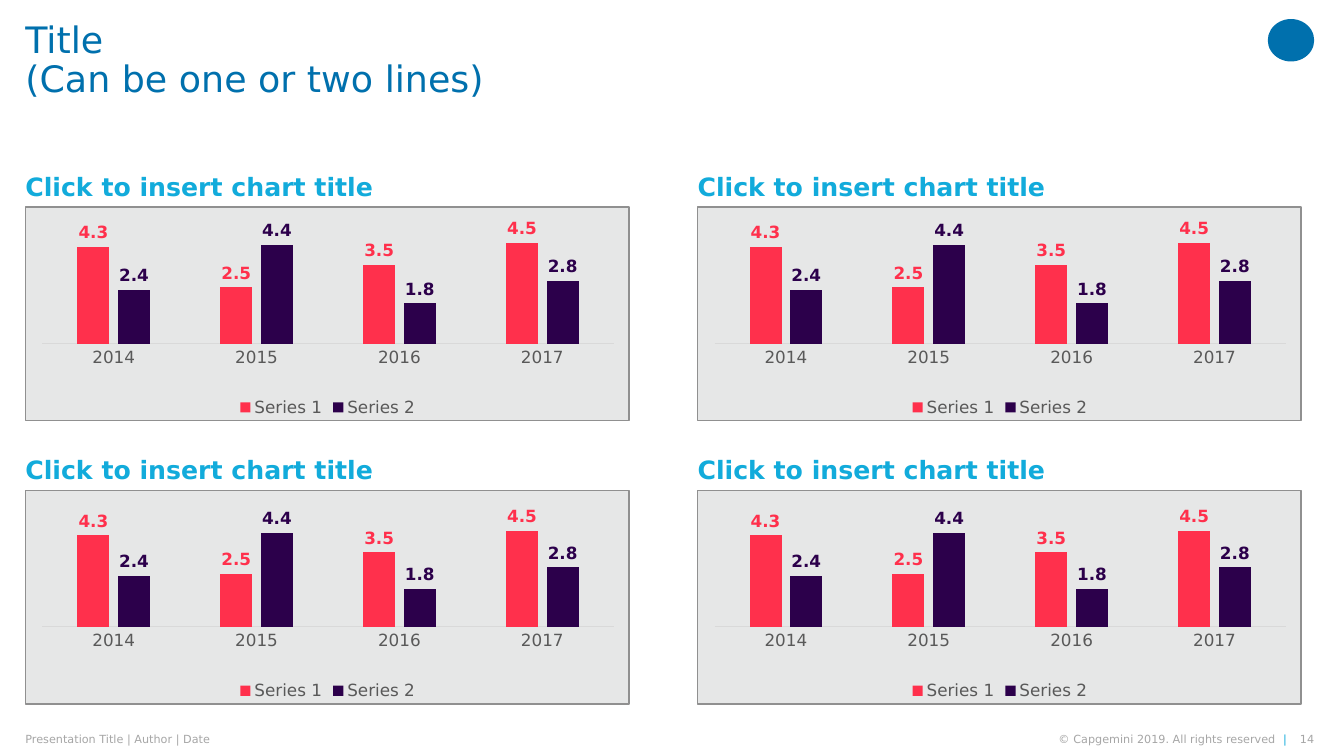
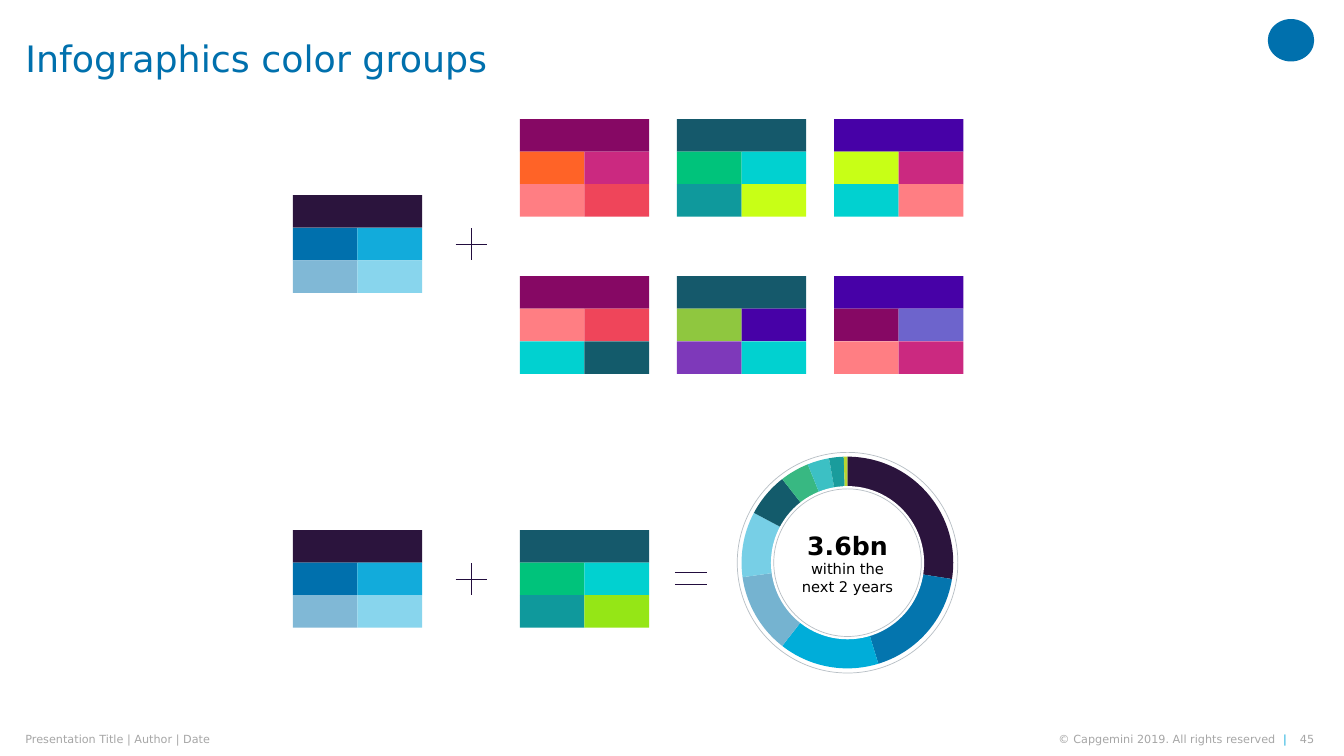
from itertools import product

from pptx import Presentation
from pptx.chart.data import CategoryChartData
from pptx.dml.color import RGBColor
from pptx.enum.chart import (XL_CHART_TYPE, XL_LABEL_POSITION,
                             XL_LEGEND_POSITION, XL_TICK_MARK)
from pptx.enum.shapes import MSO_CONNECTOR, MSO_SHAPE
from pptx.enum.text import MSO_ANCHOR, PP_ALIGN
from pptx.oxml import parse_xml
from pptx.oxml.ns import nsdecls
from pptx.oxml.xmlchemy import OxmlElement
from pptx.util import Cm, Pt

FONT = "DejaVu Sans"
BLUE = RGBColor(0x00, 0x70, 0xAD)
SKY = RGBColor(0x12, 0xAB, 0xDB)
SOFT_BLUE = RGBColor(0x80, 0xB8, 0xD6)
PALE_BLUE = RGBColor(0x88, 0xD5, 0xED)
INK = RGBColor(0x2B, 0x14, 0x3D)
SIGN_INK = RGBColor(0x22, 0x0D, 0x3E)
BLACK = RGBColor(0x00, 0x00, 0x00)
WHITE = RGBColor(0xFF, 0xFF, 0xFF)
FOOTER_GRAY = RGBColor(0xA6, 0xA6, 0xA6)
PANEL_FILL = RGBColor(0xE6, 0xE7, 0xE7)
PANEL_LINE = RGBColor(0x90, 0x90, 0x90)
AXIS_TEXT = RGBColor(0x59, 0x59, 0x59)
AXIS_LINE = RGBColor(0xD9, 0xD9, 0xD9)
RING_LINE = RGBColor(0xB8, 0xBF, 0xC5)
RED = RGBColor(0xFF, 0x30, 0x4C)
PURPLE = RGBColor(0x2C, 0x00, 0x4B)
PLUM = RGBColor(0x86, 0x08, 0x64)
ORANGE = RGBColor(0xFF, 0x63, 0x27)
MAGENTA = RGBColor(0xCB, 0x29, 0x80)
SALMON = RGBColor(0xFF, 0x7E, 0x83)
CORAL = RGBColor(0xEF, 0x45, 0x5A)
PETROL = RGBColor(0x15, 0x59, 0x6B)
DEEP_TEAL = RGBColor(0x13, 0x5B, 0x6B)
GREEN = RGBColor(0x00, 0xC3, 0x7B)
TURQUOISE = RGBColor(0x01, 0xD1, 0xD0)
TEAL = RGBColor(0x0F, 0x99, 0x9C)
LIME = RGBColor(0xC8, 0xFF, 0x16)
FRESH_GREEN = RGBColor(0x95, 0xE6, 0x16)
LEAF = RGBColor(0x8F, 0xC7, 0x3F)
VIOLET = RGBColor(0x47, 0x01, 0xA7)
ORCHID = RGBColor(0x7E, 0x39, 0xBA)
LAVENDER = RGBColor(0x6D, 0x64, 0xCC)

FOOTER = "Presentation Title | Author | Date"
COPYRIGHT = "© Capgemini 2019. All rights reserved  "

CHARTS_TITLE = "Title\v(Can be one or two lines)"
CHART_HEADING = "Click to insert chart title"
YEARS = ["2014", "2015", "2016", "2017"]
SERIES = [("Series 1", [4.3, 2.5, 3.5, 4.5], RED),
          ("Series 2", [2.4, 4.4, 1.8, 2.8], PURPLE)]
PLOT_ROWS = [(0.123, 0.518), (0.149, 0.492)]  # top and height within the chart

COLORS_TITLE = "Infographics color groups"
# Each palette: wide header, then two rows of two
BASE_PALETTE = (INK, BLUE, SKY, SOFT_BLUE, PALE_BLUE)
EXTRA_PALETTES = [
    [(PLUM, ORANGE, MAGENTA, SALMON, CORAL),
     (PETROL, GREEN, TURQUOISE, TEAL, LIME),
     (VIOLET, LIME, MAGENTA, TURQUOISE, SALMON)],
    [(PLUM, SALMON, CORAL, TURQUOISE, DEEP_TEAL),
     (PETROL, LEAF, VIOLET, ORCHID, TURQUOISE),
     (VIOLET, PLUM, LAVENDER, SALMON, MAGENTA)],
]
EXAMPLE_PALETTE = (PETROL, GREEN, TURQUOISE, TEAL, FRESH_GREEN)
RING = [  # degrees, color
    (99, INK), (64, RGBColor(0x04, 0x75, 0xAE)),
    (55, RGBColor(0x00, 0xAD, 0xD9)), (44, RGBColor(0x75, 0xB3, 0xD0)),
    (36, RGBColor(0x77, 0xCF, 0xE6)), (24, DEEP_TEAL),
    (16, RGBColor(0x38, 0xB8, 0x82)), (12, RGBColor(0x3C, 0xC0, 0xC4)),
    (8, RGBColor(0x1A, 0x9C, 0x9C)), (2, RGBColor(0xB9, 0xD5, 0x32)),
]
RING_TEXT = [("3.6bn", 18, True), ("within the\vnext 2 years", 10.5, False)]

MARGIN = 0.64


def set_font(font, size, color, bold=False):
    for name, value in dict(name=FONT, size=Pt(size), bold=bold).items():
        setattr(font, name, value)
    font.color.rgb = color


def clear_insets(frame, anchor):
    margins = ("margin_left", "margin_top", "margin_right", "margin_bottom")
    for name, value in {**dict.fromkeys(margins, 0), "word_wrap": True,
                        "vertical_anchor": anchor}.items():
        setattr(frame, name, value)


def add_text(page, at, spans, size, align=PP_ALIGN.LEFT,
             anchor=MSO_ANCHOR.MIDDLE, bold=False, spacing=1.0):
    """Add one paragraph made of (text, color) spans; \\v breaks a line."""
    box = page.shapes.add_textbox(*map(Cm, at))
    clear_insets(box.text_frame, anchor)
    para = box.text_frame.paragraphs[0]
    para.alignment, para.line_spacing = align, spacing
    for text, color in spans:
        for index, line in enumerate(text.split("\v")):
            if index:
                para.add_line_break()
            span = para.add_run()
            span.text = line
            set_font(span.font, size, color, bold)


def add_figure(shapes, kind, at, fill=None, line=None, width=0.5):
    figure = shapes.add_shape(kind, *map(Cm, at))
    figure.shadow.inherit = False
    if fill is None:
        figure.fill.background()
    else:
        figure.fill.solid()
        figure.fill.fore_color.rgb = fill
    if line is None:
        figure.line.fill.background()
    else:
        figure.line.color.rgb = line
        figure.line.width = Pt(width)
    return figure


def add_circle(page, center, diameter, **colors):
    left, top = (value - diameter / 2 for value in center)
    return add_figure(page.shapes, MSO_SHAPE.OVAL,
                      (left, top, diameter, diameter), **colors)


def add_page(deck, title, number):
    page = deck.slides.add_slide(deck.slide_layouts[6])
    add_figure(page.shapes, MSO_SHAPE.OVAL, (31.95, 0.48, 1.17, 1.07), BLUE)
    add_text(page, (MARGIN, 0, 30.91, 3.07), [(title, BLUE)], 26, spacing=0.9)
    add_text(page, (MARGIN, 18.47, 13.11, 0.33), [(FOOTER, FOOTER_GRAY)], 8)
    add_text(page, (25.04, 18.47, 7.39, 0.33),
             [(COPYRIGHT, FOOTER_GRAY), ("|", SKY)], 8, PP_ALIGN.RIGHT)
    add_text(page, (32.5, 18.47, 0.62, 0.33),
             [(str(number), FOOTER_GRAY)], 8, PP_ALIGN.RIGHT)
    return page


def add_bare_chart(page, kind, at, data, plot_area):
    """Add a chart without fill whose plot takes the given x, y, w, h shares."""
    chart = page.shapes.add_chart(kind, *map(Cm, at), data).chart
    chart.has_title = False
    set_font(chart.font, 10, BLACK)
    chart.element.chart.addnext(parse_xml(
        f'<c:spPr {nsdecls("c", "a")}><a:noFill/>'
        '<a:ln><a:noFill/></a:ln></c:spPr>'))
    plot_element = chart.element.chart.plotArea
    for layout in plot_element.xpath("c:layout"):
        plot_element.remove(layout)
    sizes = "".join(f'<c:{tag} val="{value}"/>'
                    for tag, value in zip("xywh", plot_area))
    plot_element.insert(0, parse_xml(
        f'<c:layout {nsdecls("c")}><c:manualLayout>'
        '<c:layoutTarget val="inner"/><c:xMode val="edge"/>'
        f'<c:yMode val="edge"/>{sizes}</c:manualLayout></c:layout>'))
    return chart


def add_column_chart(page, at, plot_top, plot_height):
    data = CategoryChartData()
    data.categories = YEARS
    for name, values, _ in SERIES:
        data.add_series(name, values)
    chart = add_bare_chart(page, XL_CHART_TYPE.COLUMN_CLUSTERED, at, data,
                           (0.028, plot_top, 0.945, plot_height))
    chart.has_legend = True
    chart.legend.position = XL_LEGEND_POSITION.BOTTOM
    chart.legend.include_in_layout = False
    set_font(chart.legend.font, 12, AXIS_TEXT)

    years = chart.category_axis
    years.major_tick_mark = XL_TICK_MARK.NONE
    years.format.line.color.rgb = AXIS_LINE
    years.format.line.width = Pt(0.75)
    set_font(years.tick_labels.font, 12, AXIS_TEXT)
    for name, value in dict(visible=False, has_major_gridlines=False,
                            minimum_scale=0, maximum_scale=5).items():
        setattr(chart.value_axis, name, value)

    plot = chart.plots[0]
    plot.gap_width, plot.overlap = 219, -27
    plot.vary_by_categories = False
    for series, (_, _, color) in zip(plot.series, SERIES):
        series.format.fill.solid()
        series.format.fill.fore_color.rgb = color
        labels = series.data_labels
        labels.show_value = True
        labels.position = XL_LABEL_POSITION.OUTSIDE_END
        set_font(labels.font, 12, color, bold=True)


def build_charts_page(deck):
    page = add_page(deck, CHARTS_TITLE, 14)
    for row, column in product(range(2), repeat=2):
        left, down = MARGIN + 16.94 * column, 7.14 * row
        add_figure(page.shapes, MSO_SHAPE.RECTANGLE,
                   (left, 5.22 + down, 15.21, 5.38),
                   PANEL_FILL, PANEL_LINE, 1)
        add_text(page, (left, 3.94 + down, 15.24, 1.14),
                 [(CHART_HEADING, SKY)], 18, anchor=MSO_ANCHOR.BOTTOM,
                 bold=True)
        add_column_chart(page, (left, 5.16 + down, 15.24, 5.46),
                         *PLOT_ROWS[row])


def add_palette(page, left, top, colors):
    width, height = 3.26, 0.82
    half = width / 2
    group = page.shapes.add_group_shape()
    places = [(0, 0, width)] + [(half * column, height * row, half)
                                for row, column in product((1, 2), (0, 1))]
    for color, (right, down, wide) in zip(colors, places):
        add_figure(group.shapes, MSO_SHAPE.RECTANGLE,
                   (left + right, top + down, wide, height), color)


def add_stroke(page, *ends):
    stroke = page.shapes.add_connector(MSO_CONNECTOR.STRAIGHT, *map(Cm, ends))
    stroke.line.color.rgb = SIGN_INK
    stroke.line.width = Pt(0.5)
    stroke.element.spPr.append(OxmlElement("a:effectLst"))


def add_plus(page, x, y, arm=0.4):
    add_stroke(page, x, y - arm, x, y + arm)
    add_stroke(page, x - arm, y, x + arm, y)


def add_equals(page, x, y, arm=0.4, gap=0.3):
    for level in (y - gap / 2, y + gap / 2):
        add_stroke(page, x - arm, level, x + arm, level)


def add_ring(page, center):
    size, diameter = 6.1, 5.34
    share = diameter / size
    inset = round((1 - share) / 2, 3)
    data = CategoryChartData()
    data.categories = [str(index + 1) for index in range(len(RING))]
    data.add_series("Share", [degrees for degrees, _ in RING])
    left, top = (value - size / 2 for value in center)
    chart = add_bare_chart(page, XL_CHART_TYPE.PIE, (left, top, size, size),
                           data, (inset, inset, round(share, 3),
                                  round(share, 3)))
    chart.has_legend = False
    chart.plots[0].vary_by_categories = False
    for index, (_, color) in enumerate(RING):
        slice_format = chart.plots[0].series[0].points[index].format
        slice_format.fill.solid()
        slice_format.fill.fore_color.rgb = color
        slice_format.line.fill.background()

    add_circle(page, center, 5.56, line=RING_LINE)
    hole = add_circle(page, center, 3.86, fill=WHITE)
    add_circle(page, center, 3.72, line=RING_LINE)
    frame = hole.text_frame
    clear_insets(frame, MSO_ANCHOR.MIDDLE)
    for index, (text, points, bold) in enumerate(RING_TEXT):
        para = frame.add_paragraph() if index else frame.paragraphs[0]
        para.text = text
        para.alignment = PP_ALIGN.CENTER
        for span in para.runs:
            set_font(span.font, points, BLACK, bold)


def build_colors_page(deck):
    page = add_page(deck, COLORS_TITLE, 45)
    base_left, extra_left, plus_x, pitch = 7.38, 13.1, 11.88, 3.96
    middle = 1.23  # from a palette's top to its centre
    for top in (4.92, 13.36):
        add_palette(page, base_left, top, BASE_PALETTE)
        add_plus(page, plus_x, top + middle)
    for row, palettes in enumerate(EXTRA_PALETTES):
        for column, colors in enumerate(palettes):
            add_palette(page, extra_left + pitch * column,
                        3 + pitch * row, colors)
    add_palette(page, extra_left, 13.36, EXAMPLE_PALETTE)
    add_equals(page, 17.41, 14.58)
    add_ring(page, (21.36, 14.18))


def main():
    deck = Presentation()
    deck.slide_width, deck.slide_height = Cm(33.87), Cm(19.05)
    build_charts_page(deck)
    build_colors_page(deck)
    deck.save("out.pptx")


if __name__ == "__main__":
    main()
